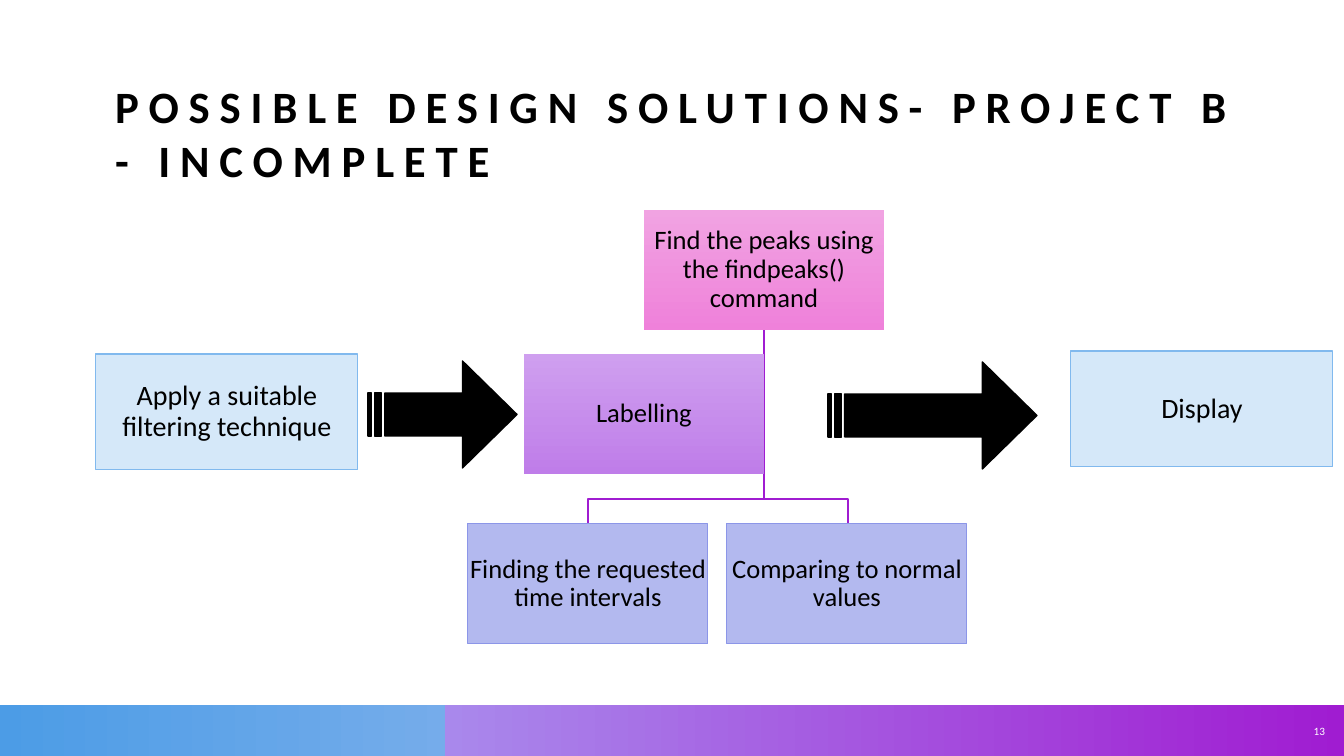
from lxml import etree
from pptx import Presentation
from pptx.dml.color import RGBColor
from pptx.enum.shapes import MSO_CONNECTOR, MSO_SHAPE
from pptx.enum.text import MSO_ANCHOR, PP_ALIGN
from pptx.oxml.ns import qn
from pptx.util import Emu, Pt

RECT = MSO_SHAPE.RECTANGLE
STRIPED_ARROW = MSO_SHAPE.STRIPED_RIGHT_ARROW
STRAIGHT = MSO_CONNECTOR.STRAIGHT
MIDDLE, BOTTOM = MSO_ANCHOR.MIDDLE, MSO_ANCHOR.BOTTOM
LEFT, CENTER, RIGHT = PP_ALIGN.LEFT, PP_ALIGN.CENTER, PP_ALIGN.RIGHT
EMU_PER_PX = 914400 / 100.8
BLACK, WHITE, PURPLE = "000000", "FFFFFF", "A01CD1"


def px(*lengths):
    return [Emu(round(length * EMU_PER_PX)) for length in lengths]


def write(shape, text, size, color, align, anchor, inset):
    frame = shape.text_frame
    frame.word_wrap = True
    frame.vertical_anchor = anchor
    frame.margin_left = frame.margin_right = px(inset)[0]
    frame.margin_top = frame.margin_bottom = px(inset)[0]
    para = frame.paragraphs[0]
    span = para.add_run()
    span.text = text
    para.alignment = align
    para.line_spacing = 0.9
    para.font.name = "Calibri"
    para.font.size = Pt(size)
    para.font.color.rgb = RGBColor.from_string(color)
    return para, span


deck = Presentation()
deck.slide_width, deck.slide_height = px(1344, 756)
page = deck.slides.add_slide(deck.slide_layouts[6])
shapes = page.shapes

# Footer bands
for left, start, end in ((0, "4C9CE6", "CACEF4"), (445, "A988EC", PURPLE)):
    band = shapes.add_shape(RECT, *px(left, 705, 1344 - left, 51))
    band.shadow.inherit = False
    band.line.fill.background()
    band.fill.gradient()
    band.fill.gradient_angle = 0
    for stop, color in zip(band.fill.gradient_stops, (start, end)):
        stop.color.rgb = RGBColor.from_string(color)

# Title and page number
title = shapes.add_textbox(*px(115, 50, 1136, 136))
para, span = write(title, "POSSIBLE DESIGN SOLUTIONS- PROJECT B - INCOMPLETE",
                   32, BLACK, LEFT, BOTTOM, 0)
para.line_spacing = 1.0
para.font.bold = True
span.font.bold = True
span.font._element.set("spc", "700") if hasattr(span.font, "_element") else span._r.get_or_add_rPr().set("spc", "700")
number = shapes.add_textbox(*px(1286, 707, 49, 49))
write(number, "13", 8, WHITE, RIGHT, MIDDLE, 10)

# Tree lines: trunk behind the Labelling box, then one elbow per lower box
trunk_x, trunk_top, bend_y, child_top = 764, 330, 499, 524
trunk = shapes.add_connector(STRAIGHT, *px(trunk_x, trunk_top, trunk_x, 414))
etree.SubElement(trunk._element.spPr, qn("a:effectLst"))
tree_lines = [trunk]
for child_x in (848, 588):
    outline = shapes.build_freeform(trunk_x, trunk_top, EMU_PER_PX)
    outline.add_line_segments(
        [(trunk_x, bend_y), (child_x, bend_y), (child_x, child_top)], close=False)
    elbow = outline.convert_to_shape()
    elbow.fill.background()
    elbow.shadow.inherit = False
    tree_lines.append(elbow)
for tree_line in tree_lines:
    tree_line.line.color.rgb = RGBColor.from_string(PURPLE)
    tree_line.line.width = Pt(1)

# Boxes: text, place, size, fill colours from top to bottom, line colour
TREE_SIZE, STEP_SIZE = (240, 120), (262, 116)
boxes = (
    ("Find the peaks using the findpeaks() command", (644, 210), TREE_SIZE, 19,
     ("F1A3E2", "EF81DA"), None),
    ("Finding the requested time intervals", (468, child_top), TREE_SIZE, 19,
     ("B3B9EF",), "8C96E8"),
    ("Comparing to normal values", (727, child_top), TREE_SIZE, 19,
     ("B3B9EF",), "8C96E8"),
    ("Labelling", (524, 354), TREE_SIZE, 19, ("CF9FEF", "BF7DE9"), None),
    ("Apply a suitable filtering technique", (96, 354), STEP_SIZE, 20,
     ("D5E8F9",), "81B9EE"),
    ("Display", (1071, 351), STEP_SIZE, 20, ("D5E8F9",), "81B9EE"),
)
for text, place, size, points, fills, line in boxes:
    box = shapes.add_shape(RECT, *px(*place, *size))
    box.shadow.inherit = False
    if len(fills) == 2:
        box.fill.gradient()
        box.fill.gradient_angle = 270
        for stop, color in zip(box.fill.gradient_stops, fills):
            stop.color.rgb = RGBColor.from_string(color)
    else:
        box.fill.solid()
        box.fill.fore_color.rgb = RGBColor.from_string(fills[0])
    if line:
        box.line.color.rgb = RGBColor.from_string(line)
        box.line.width = Pt(0.75)
    else:
        box.line.fill.background()
    write(box, text, points, BLACK, CENTER, MIDDLE, 1)

# Striped arrows between the steps
for left, top, width in ((368, 361, 149), (828, 362, 209)):
    arrow = shapes.add_shape(STRIPED_ARROW, *px(left, top, width, 107))
    arrow.shadow.inherit = False
    arrow.adjustments[0], arrow.adjustments[1] = 0.4, 0.51
    arrow.fill.solid()
    arrow.fill.fore_color.rgb = RGBColor.from_string(BLACK)
    arrow.line.color.rgb = RGBColor.from_string(BLACK)
    arrow.line.width = Pt(1)

deck.save("out.pptx")
